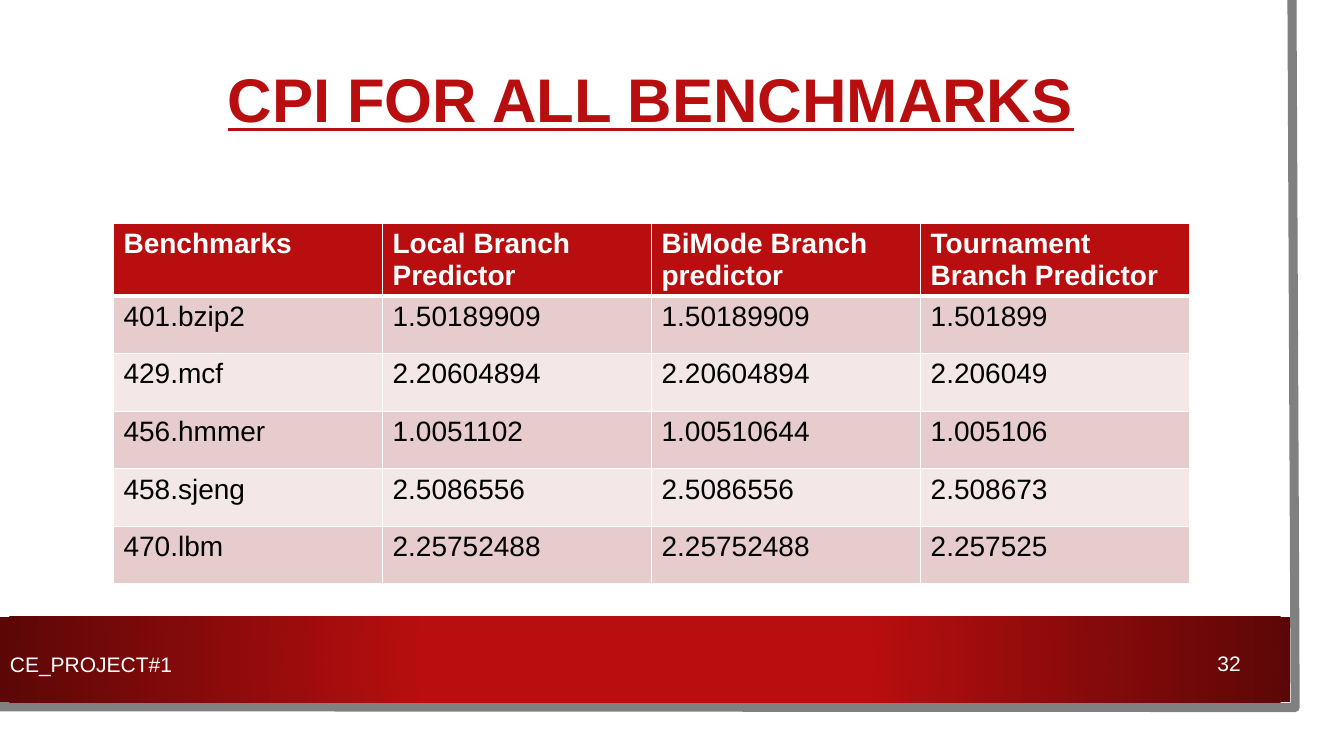
from lxml import etree
from pptx import Presentation
from pptx.dml.color import RGBColor
from pptx.enum import shapes, text
from pptx.oxml import parse_xml
from pptx.oxml.ns import nsdecls, qn
from pptx.util import Cm, Pt

TITLE = "CPI FOR ALL BENCHMARKS"
HEADER = ["Benchmarks", "Local Branch Predictor", "BiMode Branch predictor",
          "Tournament Branch Predictor"]
RESULTS = [
    ["401.bzip2", "1.50189909", "1.50189909", "1.501899"],
    ["429.mcf", "2.20604894", "2.20604894", "2.206049"],
    ["456.hmmer", "1.0051102", "1.00510644", "1.005106"],
    ["458.sjeng", "2.5086556", "2.5086556", "2.508673"],
    ["470.lbm", "2.25752488", "2.25752488", "2.257525"],
]
# Footer texts: wording, left, top, width, height, alignment
FOOTERS = [
    ("32", 29.36, 16.21, 3.23, 1.02, text.PP_ALIGN.CENTER),
    ("CE_PROJECT#1", 0, 16.03, 15.27, 1.4, text.PP_ALIGN.LEFT),
]
COLORS = {"red": "B80E0F", "dark": "5C0707", "white": "FFFFFF", "black": "000000",
          "frame": "808080", "odd": "E6CCCC", "even": "F3E7E7"}
COLUMN_WIDTH, HEADER_HEIGHT, ROW_HEIGHT = 6.78, 1.8, 1.45


def color(name):
    return RGBColor.from_string(COLORS[name])


def write(frame, words, size, ink, bold=False, align=text.PP_ALIGN.LEFT):
    para = frame.paragraphs[0]
    para.alignment = align
    span = para.add_run()
    span.text = words
    span.font.name = "Arial"
    span.font.size = Pt(size)
    span.font.bold = bold
    span.font.color.rgb = color(ink)
    return span


def add_borders(cell, widths):
    properties = cell._tc.get_or_add_tcPr()
    for side, points in widths.items():
        line = etree.SubElement(properties, qn("a:ln" + side), w=str(Pt(points)))
        fill = etree.SubElement(line, qn("a:solidFill"))
        etree.SubElement(fill, qn("a:srgbClr"), val=COLORS["white"])


deck = Presentation()
deck.slide_width, deck.slide_height = Cm(33.87), Cm(19.05)
page = deck.slides.add_slide(deck.slide_layouts[5])

# Grey frame along the right and bottom edges
builder = page.shapes.build_freeform(Cm(32.56), 0)
builder.add_line_segments([(Cm(32.64), Cm(17.83)), (0, Cm(17.81))], close=False)
edge = builder.convert_to_shape()
edge.shadow.inherit = False
edge.fill.background()
edge.line.color.rgb = color("frame")
edge.line.width = Pt(6.5)

# Footer band, bright in the middle
band = page.shapes.add_shape(shapes.MSO_SHAPE.RECTANGLE, 0, Cm(15.54), Cm(32.51), Cm(2.16))
band.shadow.inherit = False
band.line.fill.background()
band_geometry = band._element.spPr.find(qn("a:prstGeom"))
band_geometry.addnext(parse_xml(
    f'<a:gradFill {nsdecls("a")} rotWithShape="1"><a:gsLst>'
    f'<a:gs pos="34000"><a:srgbClr val="{COLORS["red"]}"/></a:gs>'
    f'<a:gs pos="100000"><a:srgbClr val="{COLORS["dark"]}"/></a:gs></a:gsLst>'
    '<a:path path="circle"><a:fillToRect l="50000" t="50000" r="50000" b="50000"/></a:path>'
    '</a:gradFill>'))

# Title
title = page.shapes.title
title.left, title.top, title.width, title.height = Cm(1.96), Cm(0.99), Cm(28.88), Cm(3.2)
title.text_frame.vertical_anchor = text.MSO_ANCHOR.MIDDLE
heading = write(title.text_frame, TITLE, 44, "red", True, text.PP_ALIGN.CENTER)
heading.font.underline = True
title.text_frame.paragraphs[0].line_spacing = 0.9

# Table of results
rows = [HEADER] + RESULTS
table = page.shapes.add_table(
    len(rows), len(HEADER), Cm(2.86), Cm(5.63), Cm(COLUMN_WIDTH * len(HEADER)),
    Cm(HEADER_HEIGHT + ROW_HEIGHT * len(RESULTS))).table
for column in table.columns:
    column.width = Cm(COLUMN_WIDTH)
for r, row in enumerate(rows):
    is_header = r == 0
    table.rows[r].height = Cm(HEADER_HEIGHT if is_header else ROW_HEIGHT)
    shade = "red" if is_header else "odd" if r % 2 else "even"
    widths = {"L": 1, "R": 1, "T": 3 if r == 1 else 1, "B": 3 if is_header else 1}
    for c, words in enumerate(row):
        cell = table.cell(r, c)
        add_borders(cell, widths)
        cell.fill.solid()
        cell.fill.fore_color.rgb = color(shade)
        write(cell.text_frame, words, 20, "white" if is_header else "black", is_header)

# Footer texts
for words, left, top, width, height, align in FOOTERS:
    box = page.shapes.add_textbox(Cm(left), Cm(top), Cm(width), Cm(height))
    box.text_frame.word_wrap = True
    box.text_frame.vertical_anchor = text.MSO_ANCHOR.MIDDLE
    write(box.text_frame, words, 15, "white", align=align)

deck.save("out.pptx")
